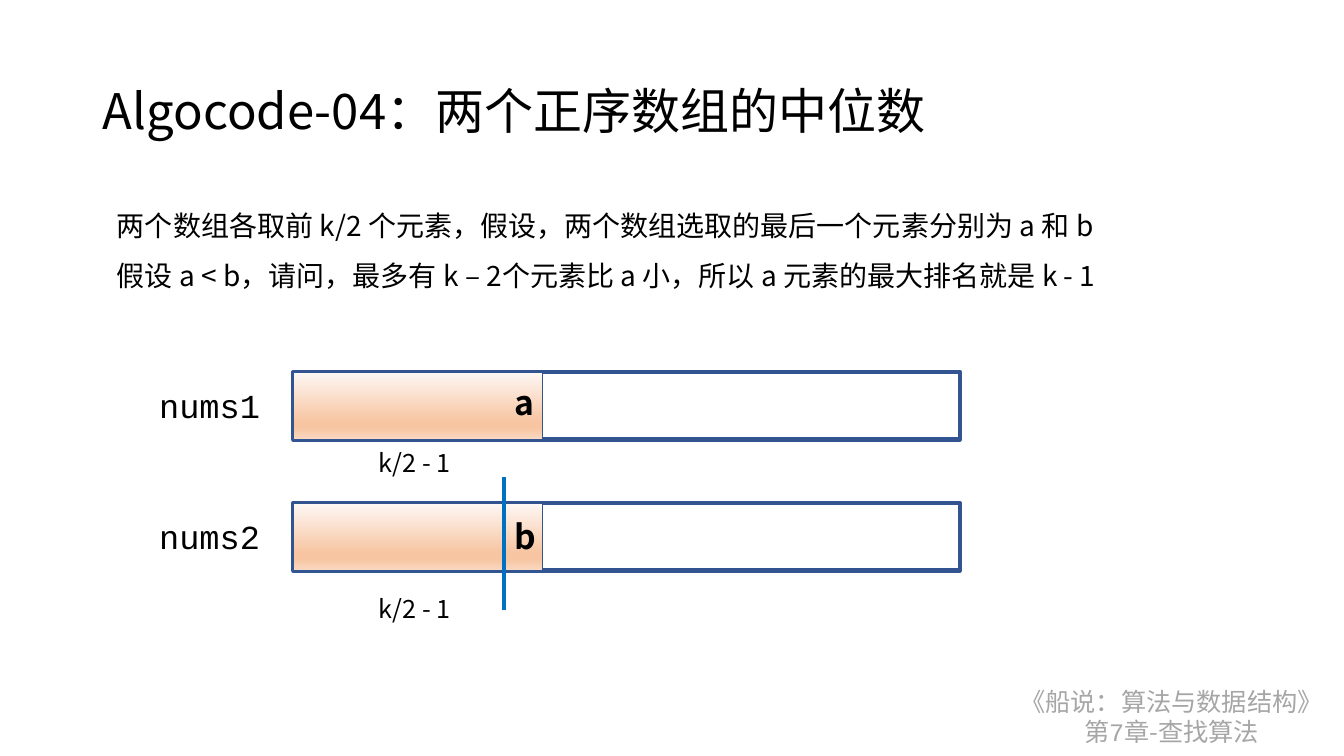
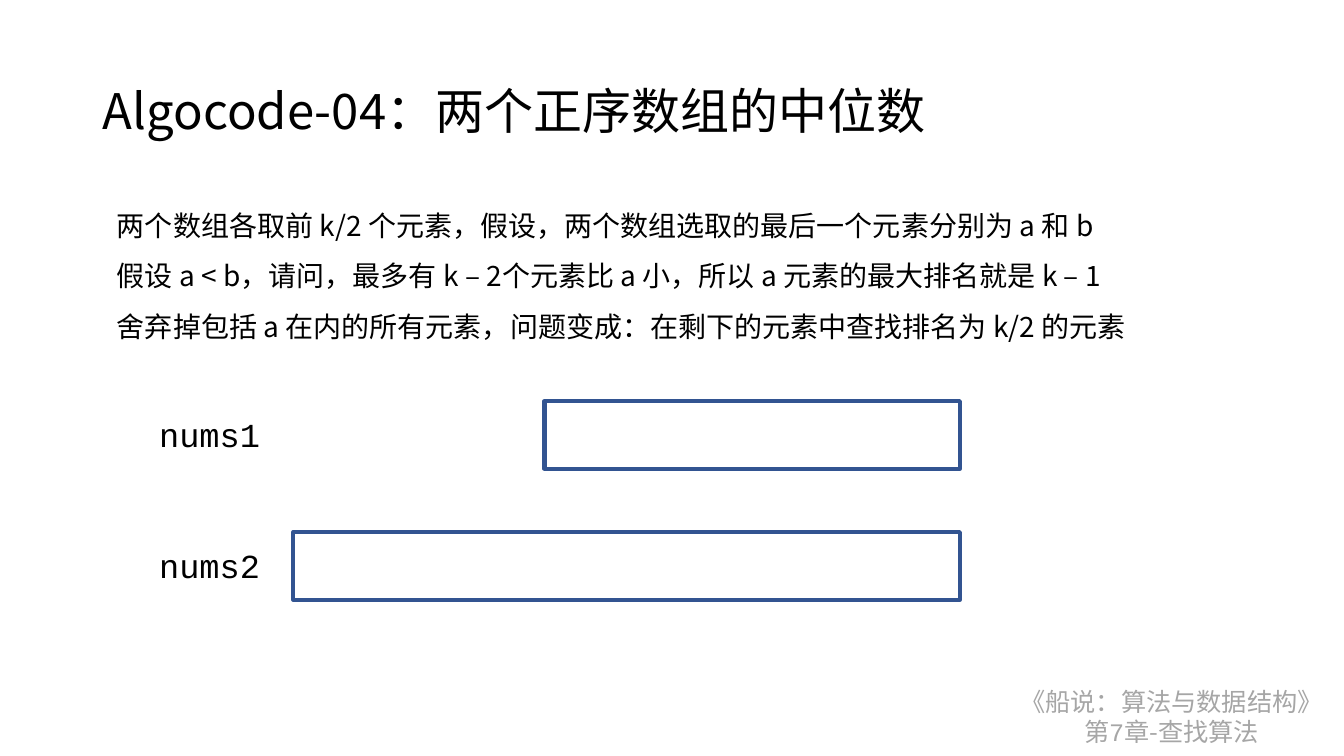
from lxml import etree
from pptx import Presentation
from pptx.dml.color import RGBColor
from pptx.enum.shapes import MSO_CONNECTOR, MSO_SHAPE
from pptx.enum.text import MSO_ANCHOR, MSO_AUTO_SIZE, PP_ALIGN
from pptx.oxml.ns import qn
from pptx.util import Inches, Pt

RECTANGLE = MSO_SHAPE.RECTANGLE
STRAIGHT = MSO_CONNECTOR.STRAIGHT
MIDDLE = MSO_ANCHOR.MIDDLE
NO_AUTOFIT = MSO_AUTO_SIZE.NONE
LEFT, CENTER = PP_ALIGN.LEFT, PP_ALIGN.CENTER

SANS = "Noto Sans CJK SC"
MONO = "Courier New"
COLORS = {
    "text": "000000",
    "footer": "A6A6A6",
    "outline": "325491",
    "divider": "0070C0",
}
PREFIX_GRADIENT = [(0, "FEF8F5"), (74, "F7C5A2"), (83, "F7C5A2"), (100, "FAD8C1")]

TITLE = "Algocode-04：两个正序数组的中位数"
TAKE_HALF = "两个数组各取前 k/2 个元素，假设，两个数组选取的最后一个元素分别为 a 和 b"
RANK = "假设 a < b，请问，最多有 k – 2个元素比 a 小，所以 a 元素的最大排名就是 "
DISCARD = "舍弃掉包括 a 在内的所有元素，问题变成：在剩下的元素中查找排名为 k/2 的元素"
FOOTER = [
    [("《船说：算法与数据结构》", SANS)],
    [("第", SANS), ("7", MONO), ("章-查找算法", SANS)],
]

ARRAY_LEFT, ARRAY_RIGHT = 2.91, 9.52
PREFIX_WIDTH = 2.47
ROW_HEIGHT, ROW_STEP = 0.67, 1.3


def rgb(name):
    return RGBColor.from_string(COLORS[name])


def add_span(para, text, size, font=SANS, color="text", bold=False):
    span = para.add_run()
    span.text = text
    span.font.size = Pt(size)
    span.font.name = font
    span.font.bold = bold
    span.font.color.rgb = rgb(color)
    east_asian = etree.SubElement(span.font._element, qn("a:ea"))
    east_asian.set("typeface", font)


def move(shape, left, top, width, height):
    shape.left, shape.top = Inches(left), Inches(top)
    shape.width, shape.height = Inches(width), Inches(height)


def paragraphs(frame, count):
    """Yield the first paragraph and then as many new ones as needed."""
    for index in range(count):
        yield frame.add_paragraph() if index else frame.paragraphs[0]


def add_label(page, text, left, top, width, height, size, **style):
    box = page.shapes.add_textbox(Inches(left), Inches(top), Inches(width), Inches(height))
    box.text_frame.word_wrap = False
    add_span(box.text_frame.paragraphs[0], text, size, **style)


def add_master_footer(deck, page):
    """Build the footer on a page and move it to the slide master."""
    box = page.shapes.add_textbox(Inches(9.97), Inches(6.76), Inches(3.3), Inches(0.71))
    frame = box.text_frame
    frame.word_wrap = False
    for para, spans in zip(paragraphs(frame, len(FOOTER)), FOOTER):
        para.alignment = CENTER
        for text, font in spans:
            add_span(para, text, 18, font, "footer")
    deck.slide_master.shapes.element.append(box.element)


def fill_title(page):
    title = page.shapes.title
    move(title, 0.92, 0.4, 11.5, 1.45)
    frame = title.text_frame
    frame.vertical_anchor = MIDDLE
    frame.auto_size = NO_AUTOFIT
    para = frame.paragraphs[0]
    para.alignment = LEFT
    para.line_spacing = 0.9
    add_span(para, TITLE, 35)


def fill_body(page, lines, width, height):
    body = page.placeholders[1]
    move(body, 1.06, 1.85, width, height)
    frame = body.text_frame
    frame.word_wrap = True
    frame.auto_size = NO_AUTOFIT
    for para, line in zip(paragraphs(frame, len(lines)), lines):
        properties = para._p.get_or_add_pPr()
        properties.set("marL", "0")
        properties.set("indent", "0")
        etree.SubElement(properties, qn("a:buNone"))
        para.line_spacing = 1.5
        para.space_before = Pt(0)
        add_span(para, line, 20)


def add_bar(page, left, top, width, line_width):
    bar = page.shapes.add_shape(
        RECTANGLE, Inches(left), Inches(top), Inches(width), Inches(ROW_HEIGHT))
    bar.shadow.inherit = False
    bar.fill.background()
    bar.line.color.rgb = rgb("outline")
    bar.line.width = Pt(line_width)
    return bar


def add_array(page, name, top, left=ARRAY_LEFT):
    add_bar(page, left, top, ARRAY_RIGHT - left, 3)
    add_label(page, name, 1.48, top + 0.08, 1.21, 0.5, 24, font=MONO)


def add_prefix(page, top, letter, letter_drop, caption_drop):
    """Shade the first k/2 elements of an array and name the last of them."""
    bar = add_bar(page, ARRAY_LEFT, top, PREFIX_WIDTH, 1)
    bar.fill.gradient()
    bar.fill.gradient_angle = 270
    stops = bar.element.spPr.find(qn("a:gradFill")).find(qn("a:gsLst"))
    for stop in list(stops):
        stops.remove(stop)
    for percent, color in PREFIX_GRADIENT:
        stop = etree.SubElement(stops, qn("a:gs"), pos=str(percent * 1000))
        etree.SubElement(stop, qn("a:srgbClr"), val=color)
    add_label(page, letter, 5, top + letter_drop, 0.4, 0.5, 24, bold=True)
    add_label(page, "k/2 - 1", 3.66, top + caption_drop, 0.95, 0.4, 18)


def add_divider(page, left, top, height):
    line = page.shapes.add_connector(
        STRAIGHT, Inches(left), Inches(top), Inches(left), Inches(top + height))
    line.line.color.rgb = rgb("divider")
    line.line.width = Pt(3)
    etree.SubElement(line.element.spPr, qn("a:effectLst"))


def add_page(deck, lines, width, height):
    page = deck.slides.add_slide(deck.slide_layouts[1])
    fill_title(page)
    fill_body(page, lines, width, height)
    return page


def build_ranking(deck):
    page = add_page(deck, [TAKE_HALF, RANK + "k - 1"], 10.11, 1.06)
    first = 3.69
    second = first + ROW_STEP
    add_array(page, "nums1", first)
    add_array(page, "nums2", second)
    add_prefix(page, first, "a", 0.05, 0.7)
    add_prefix(page, second, "b", 0.08, 0.85)
    add_divider(page, 5, 4.73, 1.32)
    return page


def build_remainder(deck):
    page = add_page(deck, [TAKE_HALF, RANK + "k – 1", DISCARD], 10.6, 1.56)
    first = 3.98
    add_array(page, "nums1", first, left=5.4)
    add_array(page, "nums2", first + ROW_STEP)


def main():
    deck = Presentation()
    deck.slide_width, deck.slide_height = Inches(13.33), Inches(7.5)
    page = build_ranking(deck)
    add_master_footer(deck, page)
    build_remainder(deck)
    deck.save("out.pptx")


if __name__ == "__main__":
    main()
